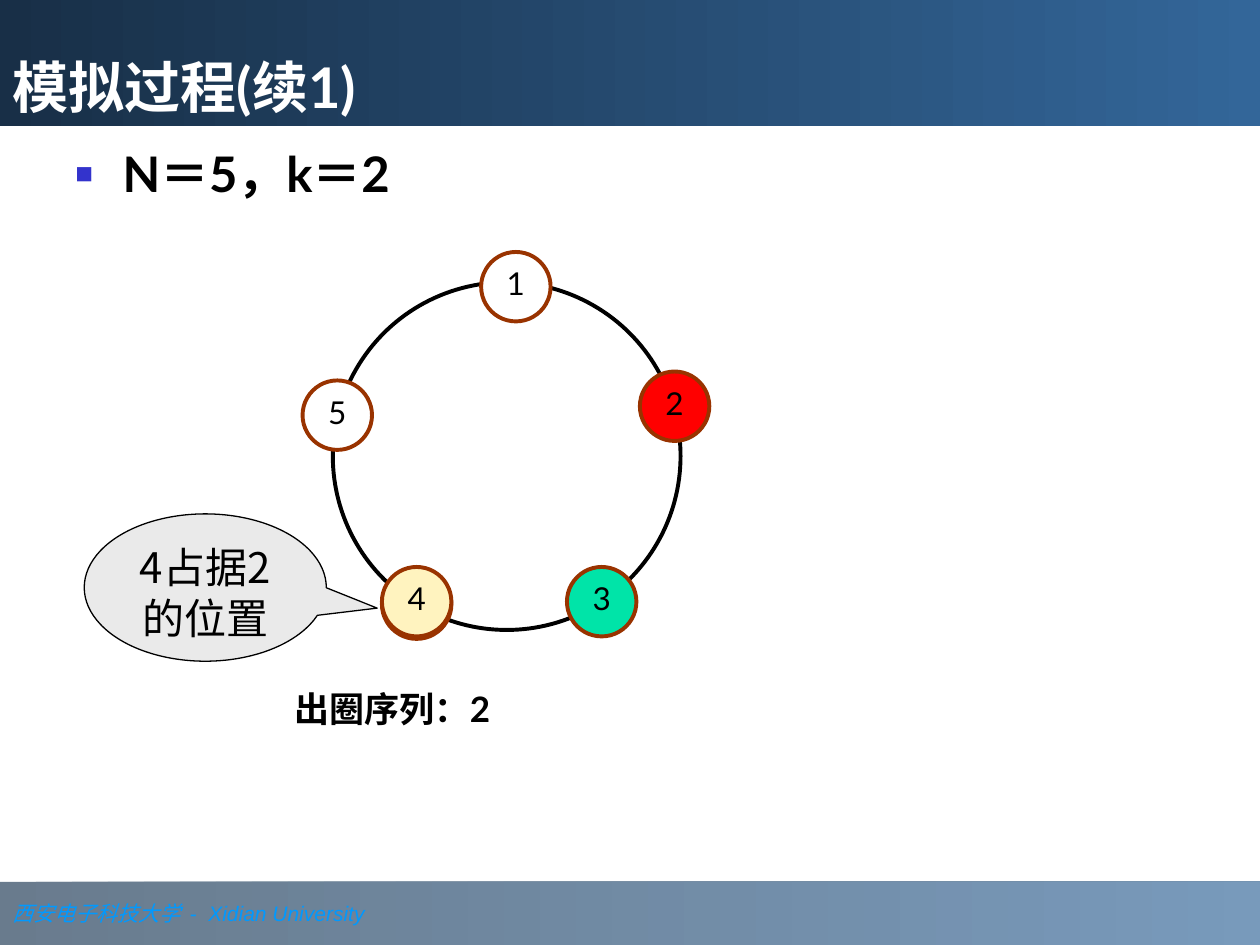
from lxml import etree
from pptx import Presentation
from pptx.dml.color import RGBColor
from pptx.enum import shapes as kinds, text as tx
from pptx.oxml import ns
from pptx.util import Cm, Pt

BLACK = RGBColor(0x00, 0x00, 0x00)
WHITE = RGBColor(0xFF, 0xFF, 0xFF)
NAVY = RGBColor(0x18, 0x2F, 0x47)
DUSK = RGBColor(0x1C, 0x38, 0x53)
BLUE = RGBColor(0x33, 0x66, 0x99)
SKY = RGBColor(0x00, 0x99, 0xFF)
RUST = RGBColor(0x99, 0x33, 0x00)
RED = RGBColor(0xFF, 0x00, 0x00)
GREEN = RGBColor(0x00, 0xE4, 0xA8)
CREAM = RGBColor(0xFF, 0xF3, 0xBF)
GREY = RGBColor(0xEA, 0xEA, 0xEA)

LATIN, HAN = "Lato", "Noto Sans CJK SC"
SHAPE = kinds.MSO_SHAPE
LEFT, MID = tx.PP_ALIGN.LEFT, tx.PP_ALIGN.CENTER
TOP, CENTER, BOTTOM = (tx.MSO_ANCHOR.TOP, tx.MSO_ANCHOR.MIDDLE,
                       tx.MSO_ANCHOR.BOTTOM)

# Content, lengths in cm
WIDE, HIGH = 25.4, 19.05
TITLE = "模拟过程(续1)"
GIVEN = "N＝5，k＝2"
ORDER = "出圈序列：2"
NOTE = "4占据2的位置"
FOOT = [("西安电子科技大学  ", "Times New Roman"),
        ("-  Xidian University", "Arial")]
RING = (6.71, 5.69, 7.01, 7.01)
SIZE = 1.4
NODES = [  # label, left, top, fill
    ("1", 9.7, 5.08, WHITE),
    ("", 7.7, 11.48, WHITE),  # rim below node 4
    ("5", 6.1, 7.67, WHITE),
    ("2", 12.9, 7.49, RED),
    ("3", 11.43, 11.43, GREEN),
    ("4", 7.7, 11.43, CREAM),
]


def add(parent, tag, **attrs):
    return etree.SubElement(parent, ns.qn(tag), attrs)


def place(shape, left, top, width, height):
    shape.left, shape.top = Cm(left), Cm(top)
    shape.width, shape.height = Cm(width), Cm(height)


def draw(kind, box, fill=None, line=None, weight=2.25):
    shape = page.shapes.add_shape(kind, *map(Cm, box))
    shape.shadow.inherit = False
    if fill is None:
        shape.fill.background()
    else:
        shape.fill.solid()
        shape.fill.fore_color.rgb = fill
    if line is None:
        shape.line.fill.background()
    else:
        shape.line.color.rgb = line
        shape.line.width = Pt(weight)
    return shape


def shade(shape, start, end, alpha=None):
    shape.fill.gradient()
    shape.fill.gradient_angle = 0
    for stop, color in zip(shape.fill.gradient_stops, (start, end)):
        stop.color.rgb = color
    if alpha:
        for rgb in shape.fill._xPr.iter(ns.qn("a:srgbClr")):
            add(rgb, "a:alpha", val=str(alpha * 1000))


def write(shape, words, size=18, font=LATIN, color=BLACK, bold=False,
          italic=False, align=LEFT, anchor=TOP, space=1.0, side=0.25,
          bullet=None):
    frame = shape.text_frame
    frame.word_wrap = True
    frame.auto_size = tx.MSO_AUTO_SIZE.NONE
    frame.vertical_anchor = anchor
    frame.margin_left = frame.margin_right = Cm(side)
    frame.margin_top = frame.margin_bottom = Cm(0.13)
    para = frame.paragraphs[0]
    para.alignment, para.line_spacing = align, space
    para.space_before = Pt(0)
    if bullet:
        props = para._p.get_or_add_pPr()
        props.set("marL", str(Cm(0.95)))
        props.set("indent", str(-Cm(0.95)))
        add(add(props, "a:buClr"), "a:srgbClr", val="3333CC")
        add(props, "a:buSzPct", val="60000")
        add(props, "a:buFont", typeface="Arial")
        add(props, "a:buChar", char=bullet)
    for part, face in [(words, font)] if isinstance(words, str) else words:
        run = para.add_run()
        run.text = part
        run.font.size, run.font.bold, run.font.italic = Pt(size), bold, italic
        run.font.color.rgb = color
        run.font.name = face
        add(run._r.get_or_add_rPr(), "a:ea", typeface=HAN)


deck = Presentation()
deck.slide_width, deck.slide_height = Cm(WIDE), Cm(HIGH)
page = deck.slides.add_slide(deck.slide_layouts[1])

# Footer band
band = draw(SHAPE.RECTANGLE, (0, 17.78, WIDE, 1.27))
shade(band, DUSK, BLUE, 66)
write(band, FOOT, size=12, color=SKY, italic=True, anchor=CENTER)

# Title and list
title, body = page.shapes.title, page.placeholders[1]
place(title, 0, 0, WIDE, 2.54)
shade(title, NAVY, BLUE)
write(title, TITLE, size=32, color=WHITE, bold=True, anchor=BOTTOM)
place(body, 1.27, 2.77, 22.86, 2.34)
write(body, GIVEN, size=28, bold=True, bullet="■")

# Ring with its nodes
draw(SHAPE.OVAL, RING, line=BLACK)
for label, left, top, fill in NODES:
    node = draw(SHAPE.OVAL, (left, top, SIZE, SIZE), fill, RUST)
    if label:
        write(node, label, align=MID, anchor=CENTER, space=0.8, side=0)

# Removal order
order = page.shapes.add_textbox(Cm(5.69), Cm(13.89), Cm(9.19), Cm(0.94))
write(order, ORDER, size=20, bold=True, space=0.8)

# Callout at node 4
note = draw(SHAPE.OVAL_CALLOUT, (1.7, 10.36, 4.88, 2.97), GREY, BLACK, 0.75)
note.adjustments[0], note.adjustments[1] = 0.71, 0.14
write(note, NOTE, size=24, font=HAN, align=MID, side=0.05)

deck.save("out.pptx")
